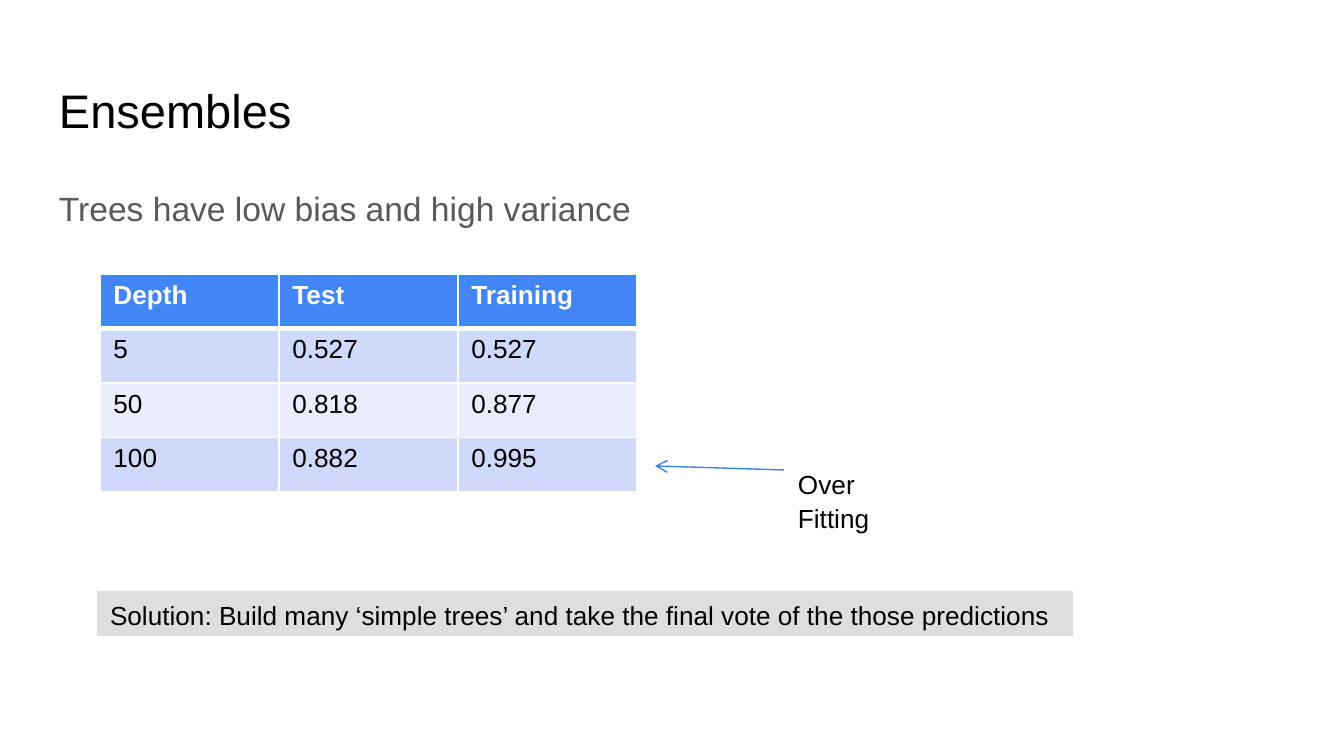
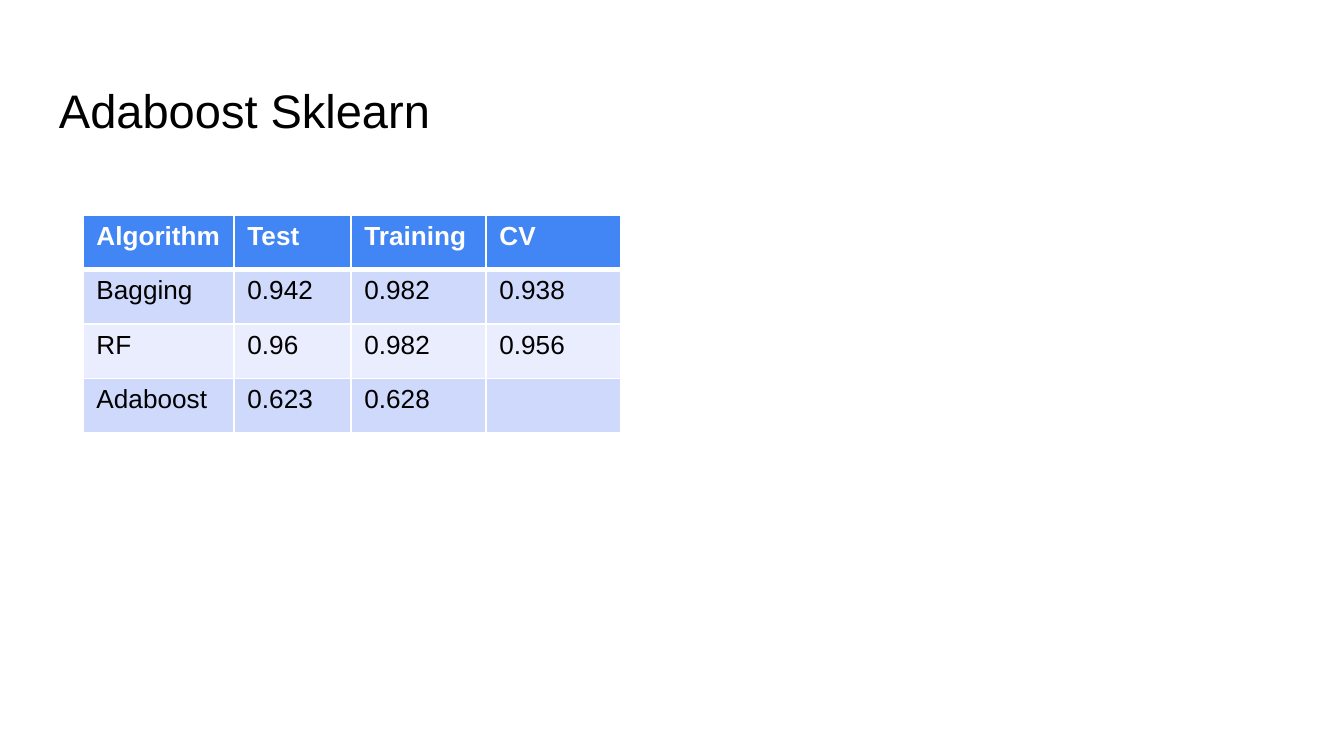
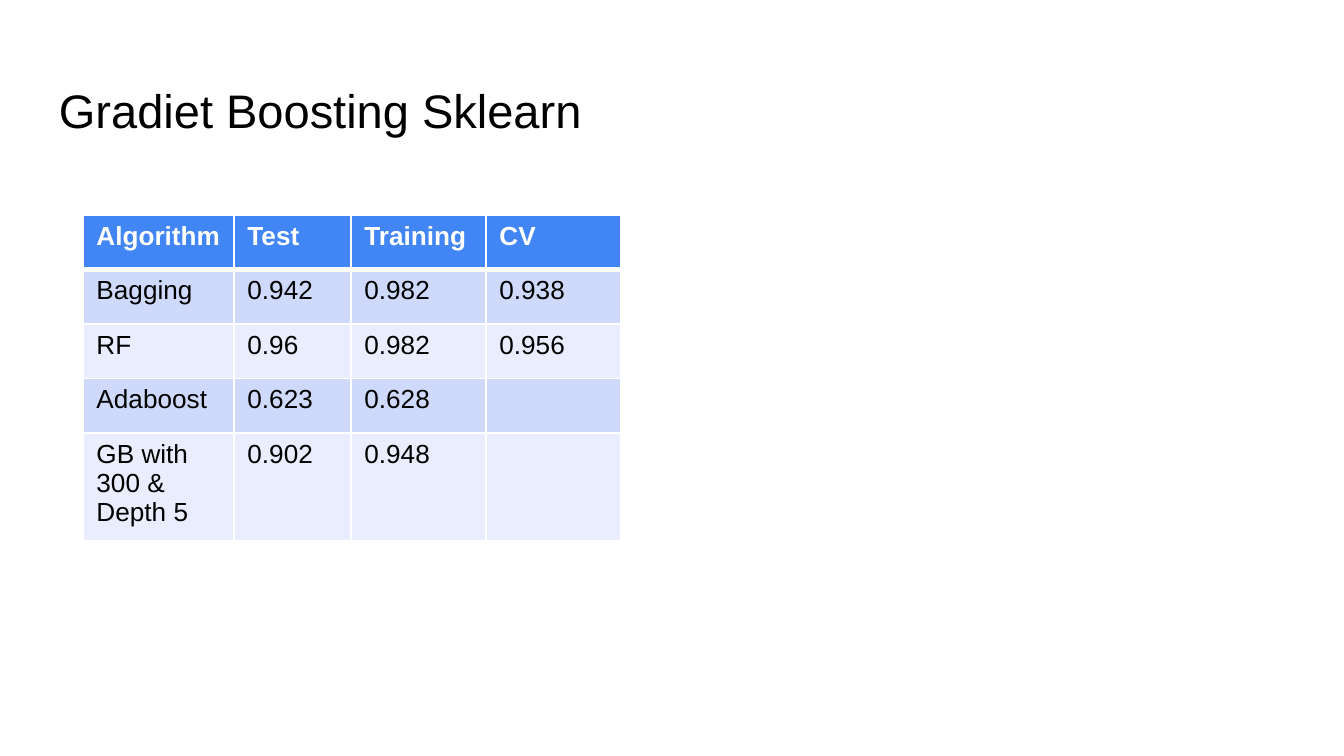
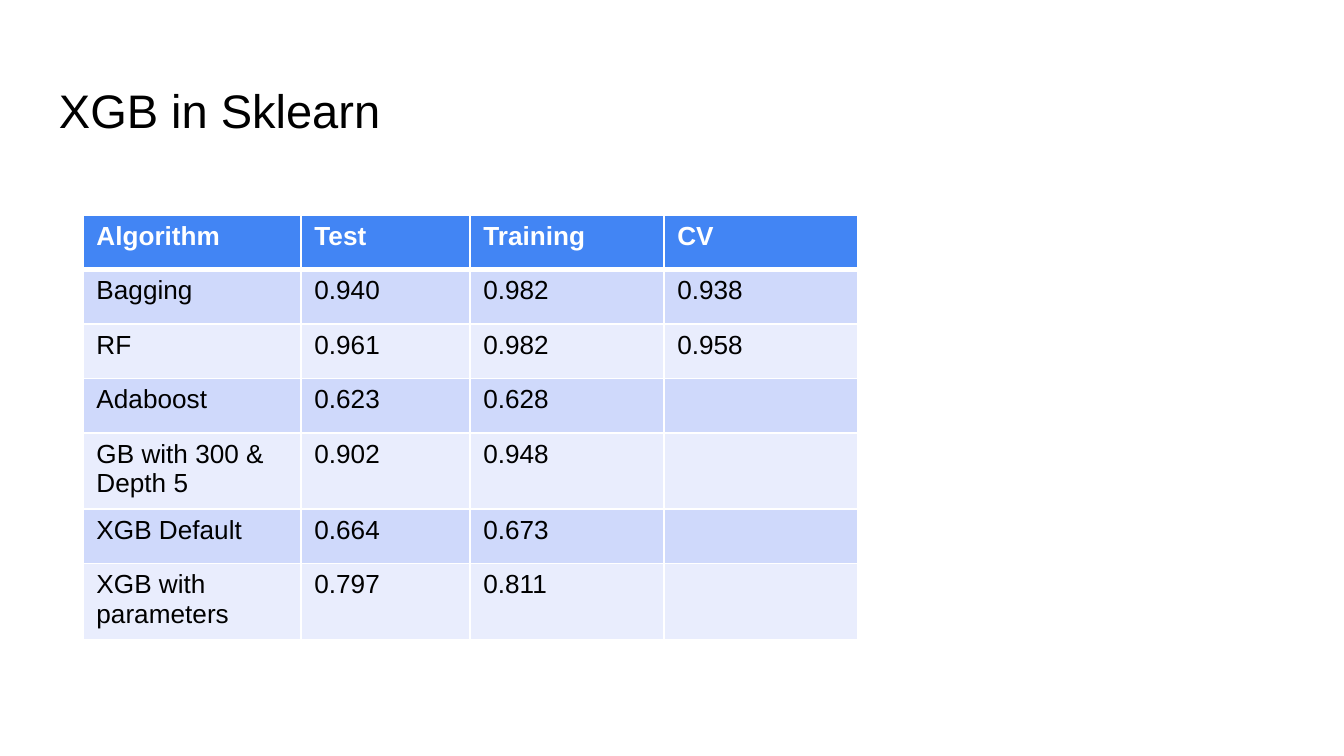
from pptx import Presentation
from pptx.dml.color import RGBColor
from pptx.enum.shapes import MSO_CONNECTOR as Connector, MSO_SHAPE as Shape
from pptx.enum.text import MSO_ANCHOR as Anchor, PP_ALIGN as Align
from pptx.oxml.ns import qn
from pptx.util import Emu, Pt
from lxml.etree import SubElement

# Shared style
FONT = "Arial"
BLACK, WHITE, GREY = "000000", "FFFFFF", "595959"
HEADER_BLUE, ARROW_BLUE, BAR_GREY = "4285F4", "3C81F3", "DEDEDE"
BAND_FILLS = ("CFD9FB", "E9EDFD")
TITLE_BOX = (46, 66, 1253, 85)
BODY_BOX = (46, 169, 1253, 503)
SCORES_CORNER = (83, 215)
SCORES_HEADER = ("Algorithm", "Test", "Training", "CV")


def px(length):
    return Emu(round(length * 914400 / 134.4))


ROW_HEIGHT = px(109) // 2


def color(hex_string):
    return RGBColor.from_string(hex_string)


def add_run(paragraph, text, size=14, hex_color=BLACK, bold=False):
    run = paragraph.add_run()
    run.text = text
    run.font.name = FONT
    run.font.size = Pt(size)
    run.font.bold = bold
    run.font.color.rgb = color(hex_color)


def write(shape, text, size=14, hex_color=BLACK, anchor=Anchor.TOP,
          inset=7, line_spacing=1.06):
    frame = shape.text_frame
    frame.word_wrap = True
    frame.vertical_anchor = anchor
    frame.margin_left = frame.margin_right = px(13)
    frame.margin_top = frame.margin_bottom = px(inset)
    paragraph = frame.paragraphs[0]
    paragraph.alignment = Align.LEFT
    paragraph.line_spacing = line_spacing
    add_run(paragraph, text, size, hex_color)
    return paragraph


def add_text(slide, box, text, **style):
    return write(slide.shapes.add_textbox(*map(px, box)), text, **style)


def add_titled_slide(presentation, title):
    slide = presentation.slides.add_slide(presentation.slide_layouts[6])
    add_text(slide, TITLE_BOX, title, size=25.2, anchor=Anchor.BOTTOM,
             inset=13, line_spacing=1.0)
    return slide


def set_borders(cell, widths):
    properties = cell._tc.get_or_add_tcPr()
    for side, width in zip("LRTB", widths):
        line = SubElement(properties, qn(f"a:ln{side}"), w=str(Pt(width)))
        fill = SubElement(line, qn("a:solidFill"))
        SubElement(fill, qn("a:srgbClr"), val=WHITE)


def add_banded_table(slide, corner, column_widths, rows):
    left, top = corner
    table = slide.shapes.add_table(
        len(rows), len(column_widths), px(left), px(top),
        px(sum(column_widths)), ROW_HEIGHT * len(rows)).table
    table.horz_banding = False
    for column, width in zip(table.columns, column_widths):
        column.width = px(width)
    for row_index, values in enumerate(rows):
        table.rows[row_index].height = ROW_HEIGHT
        is_header = row_index == 0
        # The rule under the header is thicker than the other borders
        widths = (1, 1, 3 if row_index == 1 else 1, 3 if is_header else 1)
        fill = HEADER_BLUE if is_header else BAND_FILLS[(row_index - 1) % 2]
        for column_index, value in enumerate(values):
            cell = table.cell(row_index, column_index)
            set_borders(cell, widths)
            cell.fill.solid()
            cell.fill.fore_color.rgb = color(fill)
            if value:
                add_run(cell.text_frame.paragraphs[0], value,
                        hex_color=WHITE if is_header else BLACK, bold=is_header)


def add_arrow(slide, start, end):
    arrow = slide.shapes.add_connector(Connector.STRAIGHT, *map(px, start + end))
    arrow.line.color.rgb = color(ARROW_BLUE)
    arrow.line.width = Pt(0.75)
    SubElement(arrow.line._get_or_add_ln(), qn("a:tailEnd"), type="arrow")
    SubElement(arrow._element.spPr, qn("a:effectLst"))


def add_solution_bar(slide, box, text):
    bar = slide.shapes.add_shape(Shape.RECTANGLE, *map(px, box))
    bar.shadow.inherit = False
    bar.fill.solid()
    bar.fill.fore_color.rgb = color(BAR_GREY)
    bar.line.fill.background()
    write(bar, text)


def build_ensembles(presentation):
    slide = add_titled_slide(presentation, "Ensembles")
    body = add_text(slide, BODY_BOX, "Trees have low bias and high variance",
                    size=18, hex_color=GREY, inset=13, line_spacing=1.15)
    body.space_after = Pt(12)

    # Scores by tree depth
    add_banded_table(slide, (100, 274), (179, 179, 179), [
        ("Depth", "Test", "Training"),
        ("5", "0.527", "0.527"),
        ("50", "0.818", "0.877"),
        ("100", "0.882", "0.995"),
    ])

    # Callout on the deepest tree
    add_arrow(slide, (784, 470), (655, 466))
    add_text(slide, (785, 460, 160, 77), "Over Fitting")

    add_solution_bar(
        slide, (97, 591, 976, 45),
        "Solution: Build many ‘simple trees’ and take the final vote of the those predictions")


def build_scores(presentation, title, column_widths, rows):
    slide = add_titled_slide(presentation, title)
    add_banded_table(slide, SCORES_CORNER, column_widths, [SCORES_HEADER, *rows])


def main():
    presentation = Presentation()
    presentation.slide_width, presentation.slide_height = px(1344), px(756)

    narrow_columns = (151, 117, 135, 135)
    wide_columns = (218, 169, 194, 194)
    adaboost = ("Adaboost", "0.623", "0.628", "")
    gradient_boosting = ("GB with 300 & Depth 5", "0.902", "0.948", "")
    first_scores = [
        ("Bagging", "0.942", "0.982", "0.938"),
        ("RF", "0.96", "0.982", "0.956"),
        adaboost,
    ]

    build_ensembles(presentation)
    build_scores(presentation, "Adaboost Sklearn", narrow_columns, first_scores)
    build_scores(presentation, "Gradiet Boosting Sklearn", narrow_columns,
                 [*first_scores, gradient_boosting])
    build_scores(presentation, "XGB in Sklearn", wide_columns, [
        ("Bagging", "0.940", "0.982", "0.938"),
        ("RF", "0.961", "0.982", "0.958"),
        adaboost,
        gradient_boosting,
        ("XGB Default", "0.664", "0.673", ""),
        ("XGB with parameters", "0.797", "0.811", ""),
    ])
    presentation.save("out.pptx")


if __name__ == "__main__":
    main()
